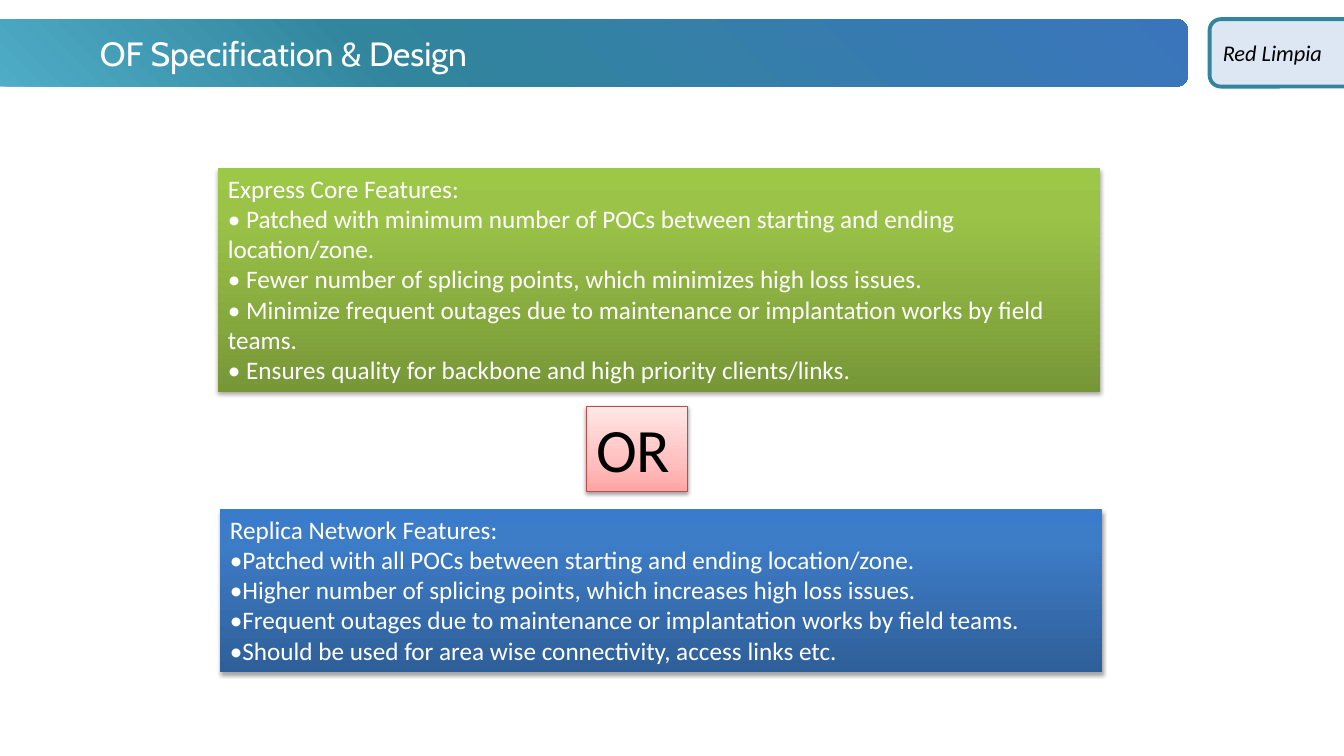
"""Build the slide that compares Express Core with Replica Network features."""
from lxml.etree import SubElement
from pptx import Presentation
from pptx.dml.color import RGBColor
from pptx.enum.shapes import MSO_SHAPE
from pptx.enum.text import MSO_ANCHOR, MSO_AUTO_SIZE, PP_ALIGN
from pptx.oxml.ns import qn
from pptx.util import Pt

COLORS = {
    "white": "FFFFFF", "black": "000000", "teal": "31859C", "aqua": "50AEC8",
    "blue": "3A75BC", "red": "BF4C48",
    "green_low": "779737", "green_mid": "9BC348", "green_top": "9DC746",
    "pink_low": "FFA6A5", "pink_mid": "FFC0BF", "pink_top": "FFE7E7",
    "blue_low": "2F5F99", "blue_mid": "3D7CC7", "blue_top": "3A7CCB",
}


def add_box(shape, box, lines, size, color, font="Calibri", border=None, weight=0.75):
    sp = slide.shapes.add_shape(shape, *[Pt(v) for v in box])
    sp.shadow.inherit = False
    if border:
        sp.line.color.rgb = RGBColor.from_string(COLORS[border])
        sp.line.width = Pt(weight)
    else:
        sp.line.fill.background()
    tf = sp.text_frame
    tf.word_wrap = True
    tf.vertical_anchor = MSO_ANCHOR.MIDDLE
    tf.text = "\n".join(lines)
    for p in tf.paragraphs:
        p.alignment = PP_ALIGN.LEFT
        for r in p.runs:
            r.font.name = font
            r.font.size = Pt(size)
            r.font.color.rgb = RGBColor.from_string(COLORS[color])
    return sp


def add_gradient(sp, stops, angle=None):
    grad = sp._element.spPr.makeelement(qn("a:gradFill"), {"rotWithShape": "1"})
    sp._element.spPr.insert(2, grad)
    gs_list = SubElement(grad, qn("a:gsLst"))
    for pos, color in stops:
        gs = SubElement(gs_list, qn("a:gs"), pos=str(pos * 1000))
        SubElement(gs, qn("a:srgbClr"), val=COLORS[color])
    if angle is None:
        circle = SubElement(grad, qn("a:path"), {"path": "circle"})
        SubElement(circle, qn("a:fillToRect"), l="100000", b="100000")
    else:
        SubElement(grad, qn("a:lin"), ang=str(angle * 60000), scaled="0")


prs = Presentation()
prs.slide_width, prs.slide_height = Pt(960), Pt(540)
slide = prs.slides.add_slide(prs.slide_layouts[6])

title = add_box(MSO_SHAPE.ROUNDED_RECTANGLE, (-10, 13.7, 858.5, 48.2),
                ["OF Specification & Design"], 24, "white", "Cabin")
title.text_frame.margin_left = Pt(79)
add_gradient(title, [(0, "blue"), (66, "teal"), (100, "aqua")])

tag = add_box(MSO_SHAPE.ROUNDED_RECTANGLE, (864, 13.7, 110, 48.2),
              ["Red Limpia"], 16, "black", border="teal", weight=2.75)
tag.text_frame.paragraphs[0].runs[0].font.italic = True
tag.fill.solid()
tag.fill.fore_color.rgb = RGBColor.from_string(COLORS["blue"])
tint = tag._element.spPr.find(qn("a:solidFill")).find(qn("a:srgbClr"))
SubElement(tint, qn("a:alpha"), val="17000")

express = [
    "Express Core Features:",
    "• Patched with minimum number of POCs between starting and ending location/zone.",
    "• Fewer number of splicing points, which minimizes high loss issues.",
    "• Minimize frequent outages due to maintenance or implantation works by field teams.",
    "• Ensures quality for backbone and high priority clients/links.",
]
replica = [
    "Replica Network Features:",
    "•Patched with all POCs between starting and ending location/zone.",
    "•Higher number of splicing points, which increases high loss issues.",
    "•Frequent outages due to maintenance or implantation works by field teams.",
    "•Should be used for area wise connectivity, access links etc.",
]
panels = [
    ((155.7, 120, 630, 160), express, 18, "white", None, "green", 80, 35, 1.8),
    ((418.7, 290.3, 72.3, 60.6), ["OR"], 44, "black", "red", "pink", 35, 38, 1.6),
    ((157.1, 363.6, 630, 116.3), replica, 18, "white", None, "blue", 80, 35, 1.8),
]
for box, lines, size, color, border, hue, middle, opacity, distance in panels:
    sp = add_box(MSO_SHAPE.RECTANGLE, box, lines, size, color, border=border)
    sp.text_frame.vertical_anchor = MSO_ANCHOR.TOP
    sp.text_frame.auto_size = MSO_AUTO_SIZE.SHAPE_TO_FIT_TEXT
    add_gradient(sp, [(0, hue + "_low"), (middle, hue + "_mid"), (100, hue + "_top")], 270)
    effects = sp._element.spPr.find(qn("a:effectLst"))
    shadow = SubElement(effects, qn("a:outerShdw"), blurRad=str(Pt(3.1)),
                        dist=str(Pt(distance)), dir="5400000", rotWithShape="0")
    shade = SubElement(shadow, qn("a:srgbClr"), val=COLORS["black"])
    SubElement(shade, qn("a:alpha"), val=str(opacity * 1000))

prs.save("out.pptx")
